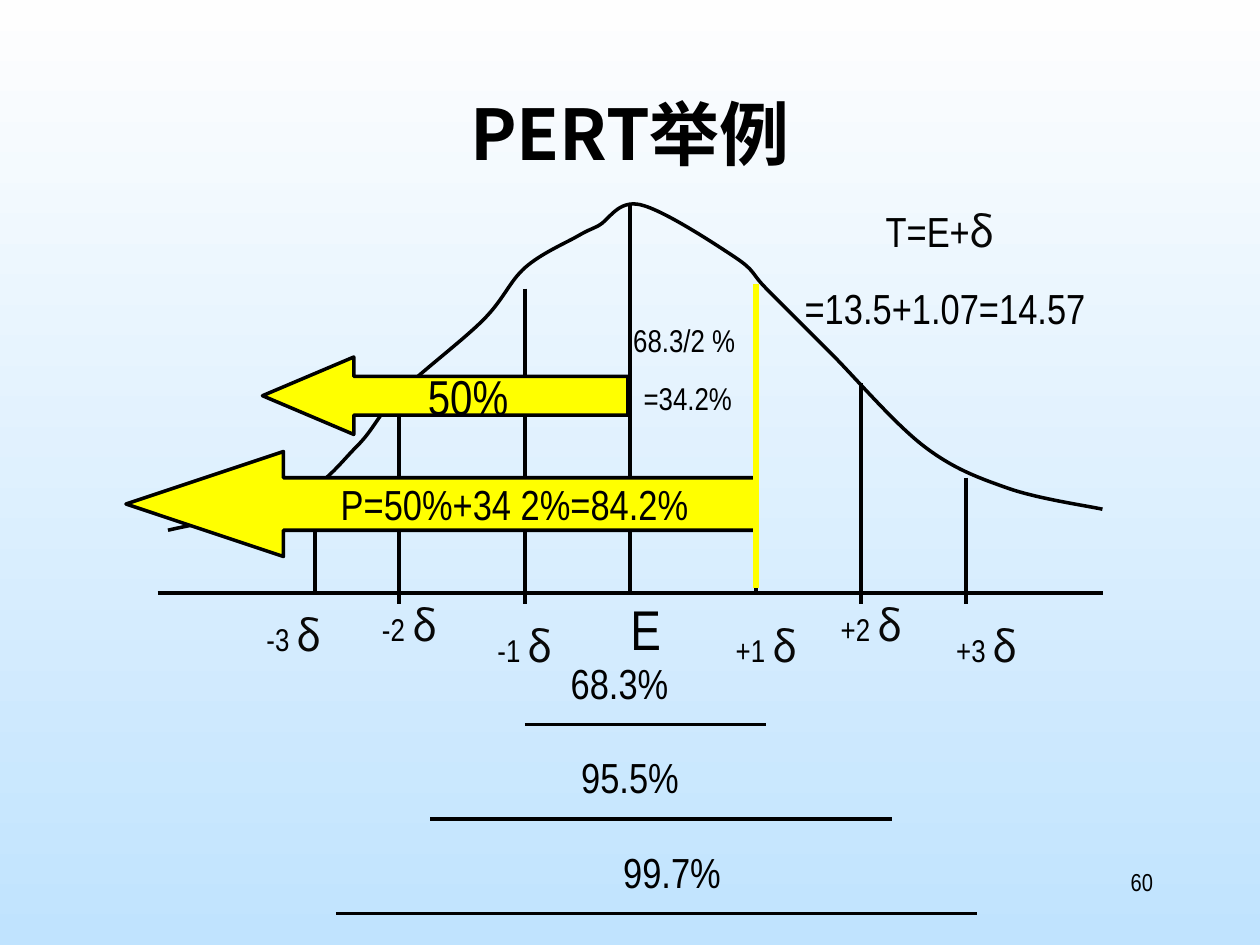
from dataclasses import dataclass

from lxml import etree
from pptx import Presentation
from pptx.dml.color import RGBColor
from pptx.enum.shapes import MSO_CONNECTOR, MSO_SHAPE
from pptx.enum.text import MSO_ANCHOR, MSO_AUTO_SIZE, PP_ALIGN
from pptx.oxml.ns import qn
from pptx.util import Inches, Pt

STRAIGHT = MSO_CONNECTOR.STRAIGHT
LEFT_ARROW = MSO_SHAPE.LEFT_ARROW
TOP, MIDDLE = MSO_ANCHOR.TOP, MSO_ANCHOR.MIDDLE
CENTER, RIGHT = PP_ALIGN.CENTER, PP_ALIGN.RIGHT
NO_FIT = MSO_AUTO_SIZE.NONE
TITLE_ONLY = 5
COLUMNS, ROWS = 240, 180
CELL = Inches(10) / COLUMNS


@dataclass(frozen=True)
class Theme:
    ink: str = "000000"
    symbol: str = "080808"
    accent: str = "FFFF00"
    sky_top: str = "FEFEFE"
    sky_bottom: str = "C0E3FE"
    text_font: str = "Arial Narrow"
    symbol_font: str = "Noto Sans CJK SC"
    title: int = 40
    mean: int = 32
    share: int = 28
    body: int = 24
    label: int = 18
    number: int = 14
    line: int = 2
    marker: int = 3


THEME = Theme()


@dataclass(frozen=True)
class Box:
    """An area in grid cells."""
    left: float
    top: float
    width: float
    height: float

    def inner(self, column, row, width, height):
        return Box(self.left + column, self.top + row, width, height)

    def point(self, column, row):
        return cells(self.left + column), cells(self.top + row)

    def lengths(self):
        return [cells(n) for n in (self.left, self.top, self.width, self.height)]


def cells(count):
    return round(count * CELL)


def color(code):
    return RGBColor.from_string(code)


def add_span(para, text, size, font=THEME.text_font, ink=THEME.ink, bold=False):
    span = para.add_run()
    span.text = text
    span.font.size = Pt(size)
    span.font.bold = bold
    span.font.color.rgb = color(ink)
    span.font.name = font
    east_asian = etree.SubElement(span.font._element, qn("a:ea"))
    east_asian.set("typeface", font)


def add_text(page, box, lines, size, align=CENTER, space=0):
    """Each line is a text; δ and what follows it take the symbol font."""
    frame = page.shapes.add_textbox(*box.lengths()).text_frame
    frame.word_wrap = True
    for index, line in enumerate(lines):
        para = frame.add_paragraph() if index else frame.paragraphs[0]
        para.alignment = align
        if index:
            para.space_before = Pt(space)
        words, symbol, rest = line.partition("δ")
        add_span(para, words, size)
        if symbol:
            add_span(para, symbol + rest, THEME.body, THEME.symbol_font, THEME.symbol)


def add_line(page, start, end, ink=THEME.ink, width=THEME.line):
    line = page.shapes.add_connector(STRAIGHT, *start, *end)
    line.line.color.rgb = color(ink)
    line.line.width = Pt(width)
    etree.SubElement(line._element.spPr, qn("a:effectLst"))


def add_arrow(page, box, head):
    arrow = page.shapes.add_shape(LEFT_ARROW, *box.lengths())
    arrow.adjustments[0], arrow.adjustments[1] = 0.5, head
    arrow.shadow.inherit = False
    arrow.fill.solid()
    arrow.fill.fore_color.rgb = color(THEME.accent)
    arrow.line.color.rgb = color(THEME.ink)
    arrow.line.width = Pt(THEME.line)
    return arrow


def round_corners(curve):
    """Turn straight segments into curves sloped by the neighbouring knots."""
    points = list(curve._element.iter(qn("a:pt")))
    knots = [(int(point.get("x")), int(point.get("y"))) for point in points]
    padded = [knots[0], *knots, knots[-1]]
    for index, point in enumerate(points[1:]):
        before, start, end, after = padded[index:index + 4]
        segment = point.getparent()
        segment.tag = qn("a:cubicBezTo")
        handles = [[b + (c - a) / 6 for a, b, c in zip(before, start, end)],
                   [c - (d - b) / 6 for b, c, d in zip(start, end, after)]]
        for place, (x, y) in enumerate(handles):
            handle = etree.Element(qn("a:pt"), x=str(round(x)), y=str(round(y)))
            segment.insert(place, handle)


def set_background(page):
    fill = page.background.fill
    fill.gradient()
    fill.gradient_angle = 270
    for stop, code in zip(fill.gradient_stops, (THEME.sky_top, THEME.sky_bottom)):
        stop.color.rgb = color(code)


def place_title(page, box):
    title = page.shapes.title
    title.left, title.top, title.width, title.height = box.lengths()
    frame = title.text_frame
    frame.auto_size = NO_FIT
    frame.vertical_anchor = TOP
    para = frame.paragraphs[0]
    para.alignment = CENTER
    add_span(para, "PERT举例", THEME.title, THEME.symbol_font, bold=True)


def place_curve(page, box):
    # Axis
    axis = box.height - 2
    add_line(page, box.point(0, axis), box.point(box.width, axis))
    # Bell curve
    knots = [(2, 63), (26, 57), (38, 47), (46, 37), (62, 23), (70, 13), (80, 7),
             (84, 5), (92, 1), (110, 11), (116, 17), (128, 29), (146, 47),
             (162, 55), (180, 59)]
    points = [box.point(*knot) for knot in knots]
    builder = page.shapes.build_freeform(*points[0])
    builder.add_line_segments(points[1:], close=False)
    curve = builder.convert_to_shape()
    round_corners(curve)
    curve.shadow.inherit = False
    curve.fill.background()
    curve.line.color.rgb = color(THEME.ink)
    curve.line.width = Pt(THEME.line)
    # Ordinates: column, top, overshoot below the axis
    for column, top, tick in [(30, 55, 0), (46, 37, 2), (70, 17, 2), (90, 1, 0),
                              (114, 17, 0), (134, 35, 2), (154, 53, 2)]:
        add_line(page, box.point(column, top), box.point(column, axis + tick))


def place_labels(page, box):
    for text, column, row in [("-3 δ", 0, 3), ("-2 δ", 22, 1), ("-1 δ", 44, 5),
                              ("+1 δ", 90, 5), ("+2 δ", 110, 1), ("+3 δ", 132, 5)]:
        add_text(page, box.inner(column, row, 20, 12), [text], THEME.label)
    add_text(page, box.inner(70, 0, 14, 15), ["E"], THEME.mean)


def place_intervals(page, box):
    # Text, text column and width, line start and end
    rows = [("68.3%", 40, 28, 36, 82), ("95.5%", 36, 40, 18, 106),
            ("99.7%", 44, 40, 0, 122)]
    pitch = box.height / len(rows)
    for index, (text, column, width, start, end) in enumerate(rows):
        row = index * pitch
        add_text(page, box.inner(column, row, width, 12), [text], THEME.body)
        add_line(page, box.point(start, row + 14), box.point(end, row + 14))


def place_arrows(page, box):
    # Total probability
    add_arrow(page, box.inner(0, 32, box.width, 20), 1.5)
    add_text(page, box.inner(36, 36, 76, 12), ["P=50%+34 2%=84.2%"], THEME.body)
    # Limit at one deviation
    add_line(page, box.point(box.width, 58), box.point(box.width, 0),
             THEME.accent, THEME.marker)
    # Lower half
    half = add_arrow(page, box.inner(26, 14, 69.6, 14.75), 1.18)
    frame = half.text_frame
    frame.word_wrap = False
    frame.vertical_anchor = MIDDLE
    para = frame.paragraphs[0]
    para.alignment = CENTER
    add_span(para, "50%", THEME.share)


def place_formulas(page, box):
    add_text(page, box.inner(28, 0, 72, 26.6), ["T=E+δ ", "=13.5+1.07=14.57"],
             THEME.body, space=15)
    add_text(page, box.inner(0, 22, 30, 20.6), ["68.3/2 % ", "=34.2%"],
             THEME.label, space=11.2)


def build_page(deck):
    page = deck.slides.add_slide(deck.slide_layouts[TITLE_ONLY])
    set_background(page)
    place_title(page, Box(18, 16, 204, 30))
    place_curve(page, Box(30, 38, 180, 77))
    place_labels(page, Box(46, 112, 152, 17))
    place_intervals(page, Box(64, 124, 122, 54))
    place_arrows(page, Box(24, 54, 120, 58))
    place_formulas(page, Box(116, 38, 100, 43))
    add_text(page, Box(172, 164, 50, 12), ["60"], THEME.number, RIGHT)


def main():
    deck = Presentation()
    deck.slide_width, deck.slide_height = cells(COLUMNS), cells(ROWS)
    build_page(deck)
    deck.save("out.pptx")


if __name__ == "__main__":
    main()
